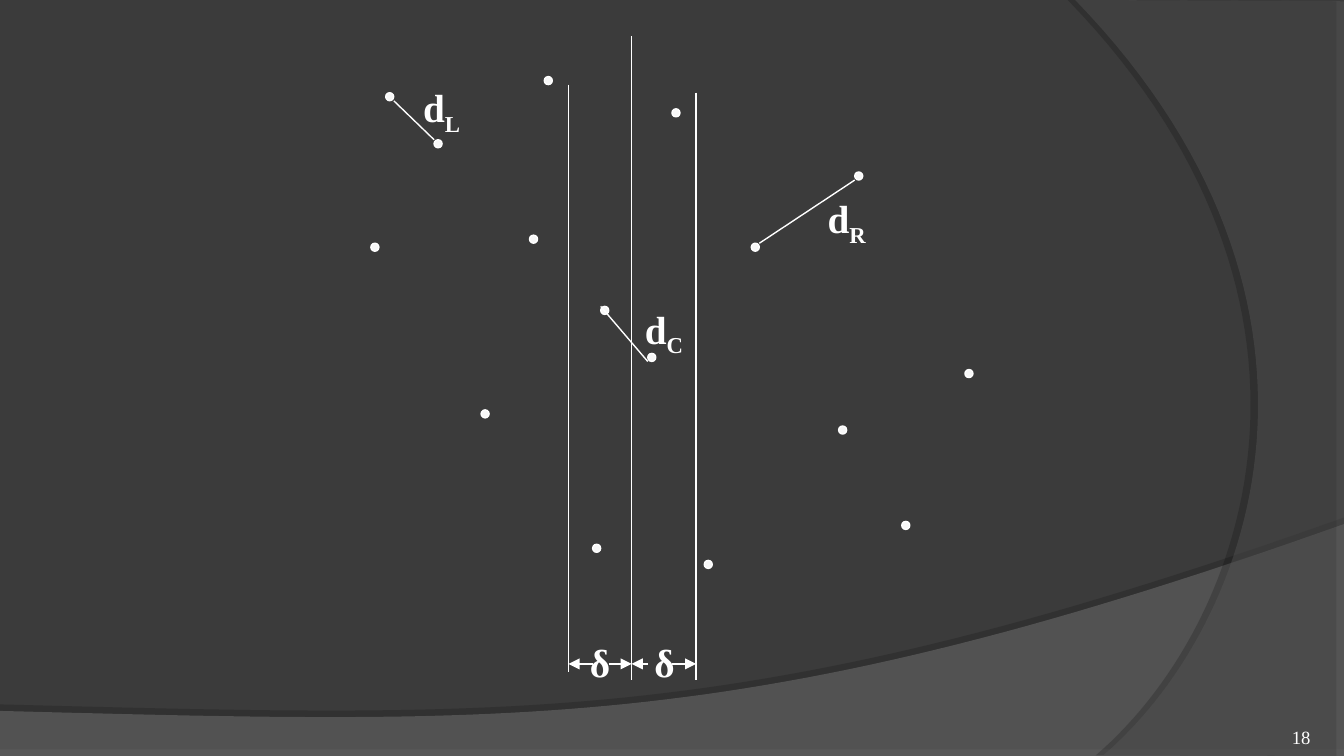
from lxml import etree
from pptx import Presentation
from pptx.dml.color import RGBColor
from pptx.enum.shapes import MSO_CONNECTOR, MSO_SHAPE
from pptx.enum.text import MSO_ANCHOR, MSO_AUTO_SIZE, PP_ALIGN
from pptx.oxml.ns import qn
from pptx.util import Inches, Pt

OVAL = MSO_SHAPE.OVAL
STRAIGHT = MSO_CONNECTOR.STRAIGHT
BOTTOM = MSO_ANCHOR.BOTTOM
RIGHT = PP_ALIGN.RIGHT
GROW = MSO_AUTO_SIZE.SHAPE_TO_FIT_TEXT
FONT = "Times New Roman"
WHITE = "FFFFFF"


def paint(color, value):
    color.rgb = RGBColor.from_string(value)


def write(para, text, size, bold=False, base=0):
    run = para.add_run()
    run.text = text
    run.font.name = FONT
    run.font.size = Pt(size)
    run.font.bold = bold
    paint(run.font.color, WHITE)
    if base:
        run._r.get_or_add_rPr().set("baseline", str(base * 1000))


# A 16:9 slide
WIDE = 10
HIGH = WIDE * 9 / 16
prs = Presentation()
prs.slide_width = Inches(WIDE)
prs.slide_height = Inches(HIGH)
slide = prs.slides.add_slide(prs.slide_layouts[6])
slide.background.fill.solid()
paint(slide.background.fill.fore_color, "3B3B3B")
shapes = slide.shapes

# Curved backdrop: corners, Bezier points, fill, opacity, shadow opacity, distance, angle
waves = [
    ([(0, 5.29), (0, HIGH), (WIDE, HIGH)],
     [(WIDE, 3.9), (5.59, 5.47), (3.91, 5.39), (0, 5.29)],
     "7C7C7C", 45, 35, 3.5, 270),
    ([(WIDE, 0.01), (WIDE, HIGH)],
     [(8.21, 5.62), (9.35, 4.64), (10.18, 2.25), (8, 0)],
     "595959", 40, 45, 4, 180),
]
STEPS = 60
for corners, curve, fill, alpha, dark, dist, angle in waves:
    points = list(corners)
    for step in range(STEPS + 1):
        t = step / STEPS
        parts = [(1 - t) ** 3, 3 * t * (1 - t) ** 2, 3 * t * t * (1 - t), t ** 3]
        points.append(tuple(sum(w * p[axis] for w, p in zip(parts, curve))
                            for axis in (0, 1)))
    points = [(Inches(x), Inches(y)) for x, y in points]
    pen = shapes.build_freeform(*points[0])
    pen.add_line_segments(points[1:], close=True)
    wave = pen.convert_to_shape()
    wave.line.fill.background()
    wave.fill.solid()
    paint(wave.fill.fore_color, fill)
    tint = wave._element.spPr.find(qn("a:solidFill"))[0]
    etree.SubElement(tint, qn("a:alpha"), val=str(alpha * 1000))
    wave.shadow.inherit = False
    effects = wave._element.spPr.find(qn("a:effectLst"))
    shade = etree.SubElement(effects, qn("a:outerShdw"), blurRad="0", algn="ctr",
                             dist=str(Pt(dist)), dir=str(angle * 60000), rotWithShape="0")
    black = etree.SubElement(shade, qn("a:srgbClr"), val="000000")
    etree.SubElement(black, qn("a:alpha"), val=str(dark * 1000))

# Slide number
box = shapes.add_textbox(Inches(8.92), Inches(5.27), Inches(0.83), Inches(0.3))
frame = box.text_frame
frame.word_wrap = True
frame.vertical_anchor = BOTTOM
frame.margin_left = frame.margin_right = frame.margin_top = frame.margin_bottom = 0
frame.paragraphs[0].alignment = RIGHT
write(frame.paragraphs[0], "18", 10)

# Points of the plane
DOT = Inches(0.06)
dots = [(2.87, 0.69), (2.76, 1.81), (3.23, 1.04), (6.36, 1.28), (4.05, 0.57),
        (3.58, 3.05), (3.94, 1.75), (5.59, 1.81), (4.41, 4.05), (4.47, 2.28),
        (5.24, 4.17), (4.82, 2.63), (7.18, 2.75), (5, 0.81), (6.24, 3.17),
        (6.71, 3.88)]
for x, y in dots:
    dot = shapes.add_shape(OVAL, Inches(x), Inches(y), DOT, DOT)
    dot.shadow.inherit = False
    dot.fill.solid()
    paint(dot.fill.fore_color, "F8F8F8")
    paint(dot.line.color, WHITE)
    dot.line.width = Pt(0.75)

# Strip borders, closest pairs and delta arrows
LEFT_X, MID_X, RIGHT_X, ARROW_Y = 4.23, 4.7, 5.18, 4.94
lines = [
    (MID_X, 0.27, MID_X, 5.06, False),
    (LEFT_X, 0.63, LEFT_X, 5, False),
    (RIGHT_X, 0.69, RIGHT_X, 5.06, False),
    (6.36, 1.34, 5.65, 1.81, False),
    (2.93, 0.75, 3.23, 1.04, False),
    (4.47, 2.28, 4.82, 2.69, False),
]
for start, end in [(4.53, MID_X), (4.41, LEFT_X), (5, RIGHT_X), (4.82, MID_X)]:
    lines.append((start, ARROW_Y, end, ARROW_Y, True))
for x1, y1, x2, y2, arrow in lines:
    line = shapes.add_connector(STRAIGHT, Inches(x1), Inches(y1), Inches(x2), Inches(y2))
    paint(line.line.color, WHITE)
    line.line.width = Pt(0.75)
    if arrow:
        etree.SubElement(line.line._get_or_add_ln(), qn("a:tailEnd"), type="triangle")
    etree.SubElement(line._element.spPr, qn("a:effectLst"))

# Distance and width labels
labels = [
    ("d", "L", 3.05, 0.57, 0.59, 0.5),
    ("d", "R", 6.06, 1.4, 0.59, 0.5),
    ("d", "C", 4.7, 2.22, 0.53, 0.5),
    ("δ", "", 4.29, 4.7, 0.35, 0.45),
    ("δ", "", 4.77, 4.7, 0.35, 0.45),
]
for name, sub, x, y, wide, high in labels:
    box = shapes.add_textbox(Inches(x), Inches(y), Inches(wide), Inches(high))
    frame = box.text_frame
    frame.word_wrap = bool(sub)
    frame.auto_size = GROW
    para = frame.paragraphs[0]
    write(para, name, 21, True)
    if sub:
        para.space_before = Pt(13.1)
        write(para, sub, 21, True, -25)

prs.save("out.pptx")
